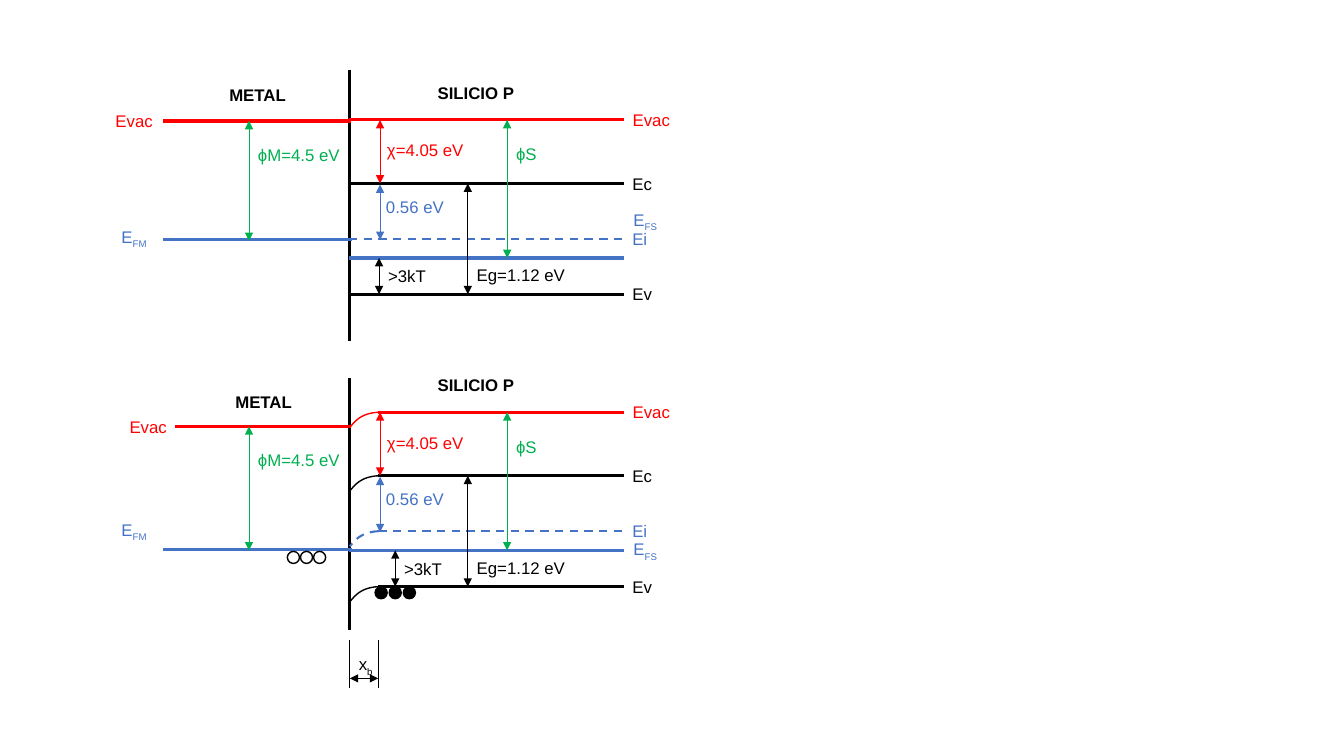
from dataclasses import dataclass

import pptx
import pptx.dml.color
import pptx.enum.dml
import pptx.enum.shapes
import pptx.enum.text
import pptx.oxml
import pptx.oxml.ns
import pptx.shapes.base
import pptx.shapes.shapetree
import pptx.util

Inches = pptx.util.Inches
Tree = pptx.shapes.shapetree.SlideShapes | pptx.shapes.shapetree.GroupShapes
DASH = pptx.enum.dml.MSO_LINE.DASH
LEFT, CENTER = pptx.enum.text.PP_ALIGN.LEFT, pptx.enum.text.PP_ALIGN.CENTER

BLACK, RED, BLUE, GREEN = "000000", "FF0000", "4472C4", "00B050"
INTERFACE_X, BULK_X, SILICON_END_X = 3.47, 3.75, 6.19


@dataclass
class Level:
    name: str
    subscript: str
    drop: float  # distance below the silicon vacuum level
    color: str
    label_width: float
    bends: bool = True
    width: float = 2.25
    dash: bool = False


@dataclass
class Gap:
    text: str
    x: float
    start: float
    end: float
    color: str
    label_x: float
    label_drop: float
    label_width: float


@dataclass
class Diagram:
    vacuum: float  # silicon vacuum level
    bent: bool
    wall: tuple[float, float]
    metal_vacuum: float
    metal_fermi: float
    metal_left: float
    metal_title: tuple[float, float]
    metal_vacuum_label: tuple[float, float]
    metal_fermi_label_top: float
    work_function_top: float
    fermi_label_top: float
    fermi_gap_x: float


LEVELS = [
    Level("Evac", "", 0, RED, 0.58),
    Level("Ec", "", 0.63, BLACK, 0.4),
    Level("Ei", "", 1.18, BLUE, 0.35, width=1.5, dash=True),
    Level("E", "FS", 1.37, BLUE, 0.46, bends=False),
    Level("Ev", "", 1.73, BLACK, 0.4),
]
GAPS = [
    Gap("χ=4.05 eV", 3.77, 0, 0.63, RED, 3.74, 0.15, 0.97),
    Gap("0.56 eV", 3.77, 0.64, 1.19, BLUE, 3.73, 0.71, 0.78),
    Gap("Eg=1.12 eV", 4.64, 0.63, 1.73, BLACK, 4.63, 1.39, 1.08),
    Gap("ϕS", 5.03, 0, 1.37, GREEN, 5.02, 0.19, 0.41),
]
DIAGRAMS = [
    Diagram(1.19, False, (0.69, 3.38), 1.2, 2.38, 1.62, (2.17, 0.79),
            (1.04, 1.05), 2.2, 1.39, 2.03, 3.76),
    Diagram(4.09, True, (3.75, 6.25), 4.23, 5.45, 1.74, (2.23, 3.84),
            (1.18, 4.09), 5.11, 4.41, 5.3, 3.92),
]


def rgb(color: str) -> pptx.dml.color.RGBColor:
    return pptx.dml.color.RGBColor.from_string(color)


def style_line(shape: pptx.shapes.base.BaseShape, color: str, width: float,
               dash: bool = False) -> None:
    shape.line.color.rgb = rgb(color)
    shape.line.width = pptx.util.Pt(width)
    if dash:
        shape.line.dash_style = DASH


def add_text(shapes: Tree, text: str, left: float, top: float, width: float, *,
             color: str = BLACK, bold: bool = False, subscript: str = "",
             align: pptx.enum.text.PP_ALIGN = CENTER) -> None:
    box = shapes.add_textbox(Inches(left), Inches(top), Inches(width), Inches(0.3))
    frame = box.text_frame
    frame.word_wrap = False
    frame.auto_size = pptx.enum.text.MSO_AUTO_SIZE.SHAPE_TO_FIT_TEXT
    paragraph = frame.paragraphs[0]
    paragraph.alignment = align
    for part, baseline in ((text, None), (subscript, "-25000")):
        if not part:
            continue
        run = paragraph.add_run()
        run.text = part
        run.font.name, run.font.size = "Arial", pptx.util.Pt(12)
        run.font.bold = bold
        run.font.color.rgb = rgb(color)
        if baseline:
            run._r.get_or_add_rPr().set("baseline", baseline)


def add_line(shapes: Tree, start: tuple[float, float], end: tuple[float, float],
             color: str = BLACK, width: float = 2.25, dash: bool = False,
             arrows: bool = False) -> None:
    line = shapes.add_connector(pptx.enum.shapes.MSO_CONNECTOR.STRAIGHT,
                                *map(Inches, (*start, *end)))
    style_line(line, color, width, dash)
    if arrows:
        for tag in ("a:headEnd", "a:tailEnd"):
            arrowhead = pptx.oxml.parse_xml(
                f'<{tag} {pptx.oxml.ns.nsdecls("a")} type="triangle"/>')
            line.line._get_or_add_ln().append(arrowhead)
    line._element.spPr.append(
        pptx.oxml.parse_xml(f'<a:effectLst {pptx.oxml.ns.nsdecls("a")}/>'))


def add_bend(shapes: Tree, top: float, color: str, width: float, dash: bool) -> None:
    """Draw a band edge curving down from the bulk to the interface."""
    control = [(BULK_X, top), (3.58, top + 0.01), (3.52, top + 0.09),
               (INTERFACE_X, top + 0.15)]
    points = []
    for step in range(17):
        t = step / 16
        weights = ((1 - t) ** 3, 3 * t * (1 - t) ** 2, 3 * t ** 2 * (1 - t), t ** 3)
        points.append(tuple(Inches(sum(w * point[axis] for w, point in zip(weights, control)))
                            for axis in (0, 1)))
    builder = shapes.build_freeform(*points[0], scale=1.0)
    builder.add_line_segments(points[1:], close=False)
    bend = builder.convert_to_shape()
    bend.shadow.inherit = False
    bend.fill.background()
    style_line(bend, color, width, dash)


def add_carriers(shapes: Tree, left: float, top: float, pitch: float, filled: bool) -> None:
    group = shapes.add_group_shape().shapes
    for index in range(3):
        carrier = group.add_shape(pptx.enum.shapes.MSO_SHAPE.OVAL,
                                  Inches(left + index * pitch), Inches(top),
                                  Inches(0.12), Inches(0.12))
        carrier.shadow.inherit = False
        style_line(carrier, BLACK, 1)
        if filled:
            carrier.fill.solid()
            carrier.fill.fore_color.rgb = rgb(BLACK)
        else:
            carrier.fill.background()


def draw_metal(shapes: Tree, diagram: Diagram) -> None:
    vacuum, fermi = diagram.metal_vacuum, diagram.metal_fermi
    add_text(shapes, "METAL", *diagram.metal_title, 0.77, bold=True)
    add_text(shapes, "Evac", *diagram.metal_vacuum_label, 0.58, color=RED)
    add_text(shapes, "E", 1.09, diagram.metal_fermi_label_top, 0.48,
             color=BLUE, subscript="FM")
    add_line(shapes, (diagram.metal_left, vacuum), (3.48, vacuum), RED)
    add_line(shapes, (1.62, fermi), (3.49, fermi), BLUE)
    add_line(shapes, (2.47, vacuum), (2.47, fermi + 0.01), GREEN, 0.5, arrows=True)
    add_text(shapes, "ϕM=4.5 eV", 2.46, diagram.work_function_top, 1.02,
             color=GREEN, align=LEFT)


def draw_silicon(shapes: Tree, diagram: Diagram) -> None:
    add_text(shapes, "SILICIO P", 4.23, diagram.vacuum - 0.42, 0.98, bold=True)
    for level in LEVELS:
        y = diagram.vacuum + level.drop
        bent = diagram.bent and level.bends
        if bent:
            add_bend(shapes, y, level.color, 1.5 if level.dash else 1, level.dash)
        add_line(shapes, (BULK_X if bent else 3.46, y), (SILICON_END_X, y),
                 level.color, level.width, level.dash)
        label_top = diagram.fermi_label_top if level.subscript else y - 0.15
        add_text(shapes, level.name, 6.17, label_top, level.label_width,
                 color=level.color, subscript=level.subscript)
    fermi_gap = Gap(">3kT", diagram.fermi_gap_x, 1.37, 1.73, BLACK,
                    diagram.fermi_gap_x - 0.01, 1.4, 0.58)
    for gap in [*GAPS, fermi_gap]:
        add_line(shapes, (gap.x, diagram.vacuum + gap.start),
                 (gap.x, diagram.vacuum + gap.end), gap.color, 0.5, arrows=True)
        add_text(shapes, gap.text, gap.label_x, diagram.vacuum + gap.label_drop,
                 gap.label_width, color=gap.color, align=LEFT)


def draw_barrier_width(shapes: Tree) -> None:
    for x in (INTERFACE_X, BULK_X):
        add_line(shapes, (x, 6.35), (x, 6.83), width=0.5)
    add_line(shapes, (INTERFACE_X, 6.73), (BULK_X, 6.73), width=0.5, arrows=True)
    add_text(shapes, "x", 3.46, 6.44, 0.35, subscript="b", align=LEFT)


def main() -> None:
    presentation = pptx.Presentation()
    presentation.slide_width, presentation.slide_height = Inches(13.33), Inches(7.5)
    slide = presentation.slides.add_slide(presentation.slide_layouts[6])

    # Band diagrams before and after contact
    for diagram in DIAGRAMS:
        wall_top, wall_bottom = diagram.wall
        add_line(slide.shapes, (INTERFACE_X, wall_top), (INTERFACE_X, wall_bottom))
        draw_metal(slide.shapes, diagram)
        draw_silicon(slide.shapes.add_group_shape().shapes, diagram)

    # Charge carriers and barrier width
    add_carriers(slide.shapes, 2.85, 5.47, 0.13, filled=False)
    add_carriers(slide.shapes, 3.72, 5.82, 0.14, filled=True)
    draw_barrier_width(slide.shapes)
    presentation.save("out.pptx")


if __name__ == "__main__":
    main()
